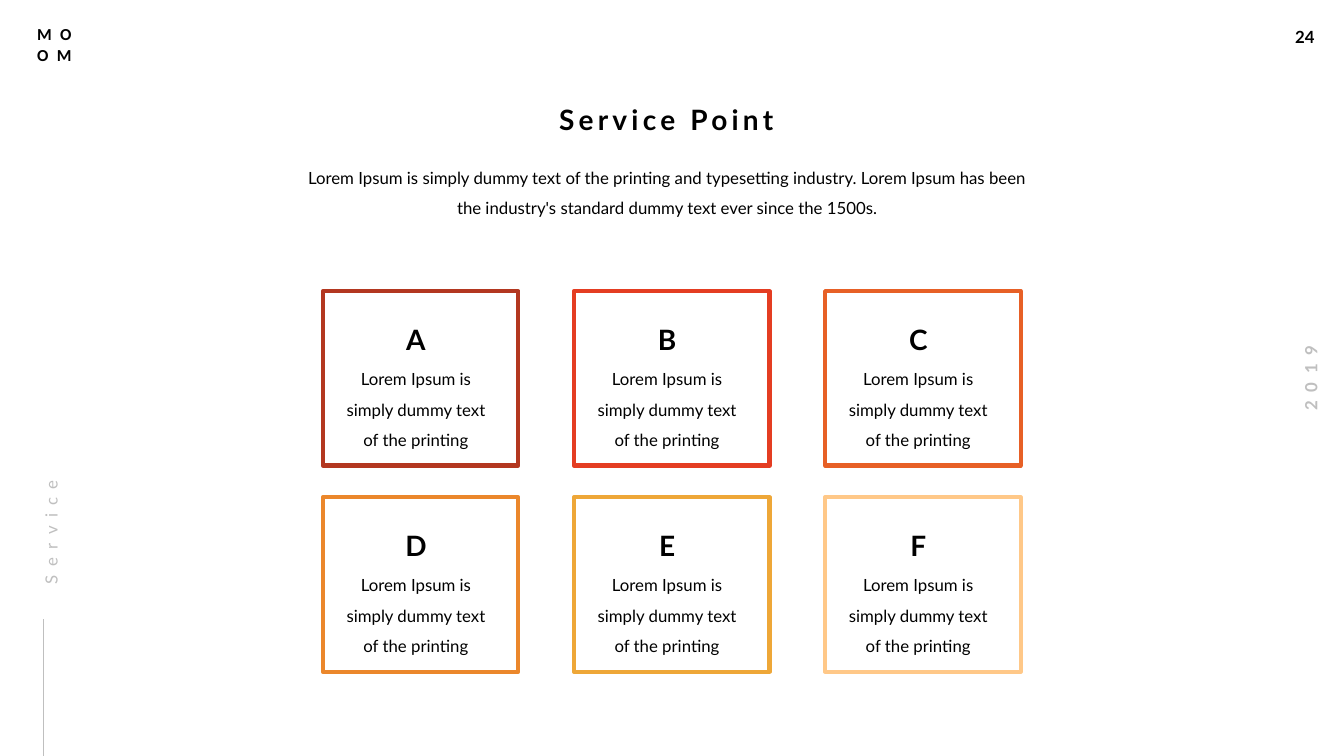
from lxml.etree import SubElement
from pptx import Presentation
from pptx.dml.color import RGBColor
from pptx.enum.shapes import MSO_CONNECTOR, MSO_SHAPE
from pptx.enum.text import MSO_AUTO_SIZE, PP_ALIGN
from pptx.oxml.ns import qn
from pptx.util import Pt

COLORS = {
    "text": "000000",
    "muted": "BFBFBF",
    "A": "B33720",
    "B": "E43D22",
    "C": "E76026",
    "D": "EB872B",
    "E": "EEA738",
    "F": "FFC888",
}
COLUMNS = 3
CARD_WIDTH, CARD_HEIGHT = 139.7, 124.6
COLUMN_PITCH, ROW_PITCH = 179.4, 147.2
TIGHT = (0, 0, 7.2, 0)
NORMAL = (7.2, 3.6, 7.2, 3.6)


def color(name):
    return RGBColor.from_string(COLORS[name])


def add_text(page, text, left, top, width, height, size=12, bold=False,
             ink="text", font="Lato", align=PP_ALIGN.CENTER, leading=None,
             tracking=0, margins=TIGHT, wrap=True, rotation=0):
    box = page.shapes.add_textbox(Pt(left), Pt(top), Pt(width), Pt(height))
    box.rotation = rotation
    frame = box.text_frame
    frame.word_wrap = wrap
    frame.auto_size = MSO_AUTO_SIZE.SHAPE_TO_FIT_TEXT
    (frame.margin_left, frame.margin_top,
     frame.margin_right, frame.margin_bottom) = map(Pt, margins)
    frame.text = text
    for para in frame.paragraphs:
        para.alignment = align
        para.line_spacing = leading
        for span in para.runs:
            span.font.name = font
            span.font.size = Pt(size)
            span.font.bold = bold
            span.font.color.rgb = color(ink)
            if tracking:
                span.font._element.set("spc", str(tracking * 100))


def add_margins(page, left, top, width, height):
    right = left + width
    bottom = top + height
    add_text(page, "24", right - 42, top + 15.8, 29.5, 21.8, bold=True,
             align=PP_ALIGN.LEFT, margins=NORMAL, wrap=False)
    add_text(page, "2019", right - 57.1, top + 259.2, 67, 21.8, bold=True,
             ink="muted", tracking=6, margins=NORMAL, wrap=False, rotation=270)
    add_text(page, "MO\nOM", left + 19.4, top + 13.7, 42.5, 36, bold=True,
             font="Calibri", align=PP_ALIGN.LEFT, tracking=6, margins=NORMAL)
    add_text(page, "Service", left - 35.3, bottom - 198.7, 133.2, 18.7,
             ink="muted", align=PP_ALIGN.LEFT, leading=1.5, tracking=6,
             rotation=270)
    rule = page.shapes.add_connector(
        MSO_CONNECTOR.STRAIGHT, Pt(left + 31), Pt(bottom),
        Pt(left + 31), Pt(bottom - 98))
    rule.line.color.rgb = color("muted")
    rule.line.width = Pt(0.5)
    SubElement(rule._element.spPr, qn("a:effectLst"))


def add_heading(page, left, top, width):
    add_text(page, "Service Point", left + 137.5, top, 252, 24.5, size=20,
             bold=True, tracking=3)
    add_text(page, "Lorem Ipsum is simply dummy text of the printing and "
             "typesetting industry. Lorem Ipsum has been the industry's "
             "standard dummy text ever since the 1500s.",
             left, top + 38.9, width, 41, leading=1.5)


def add_card(page, letter, left, top, width, height):
    card = page.shapes.add_shape(
        MSO_SHAPE.RECTANGLE, Pt(left), Pt(top), Pt(width), Pt(height))
    card.shadow.inherit = False
    card.fill.background()
    card.line.color.rgb = color(letter)
    card.line.width = Pt(3)
    add_text(page, "Lorem Ipsum is simply dummy text of the printing",
             left + 12.8, top + 48.4, width - 25.2, 62.6, leading=1.5)
    add_text(page, letter, left + 19.3, top + 10.3, width - 38.2, 31.7,
             size=20, bold=True, leading=1.5, tracking=3)


def add_cards(page, left, top):
    for index, letter in enumerate("ABCDEF"):
        row, column = divmod(index, COLUMNS)
        add_card(page, letter, left + column * COLUMN_PITCH,
                 top + row * ROW_PITCH, CARD_WIDTH, CARD_HEIGHT)


def main():
    deck = Presentation()
    deck.slide_width, deck.slide_height = Pt(960), Pt(540)
    page = deck.slides.add_slide(deck.slide_layouts[6])
    add_margins(page, 0, 0, 960, 540)
    add_heading(page, 216, 73.4, 528.5)
    add_cards(page, 230.6, 208)
    deck.save("out.pptx")


if __name__ == "__main__":
    main()
